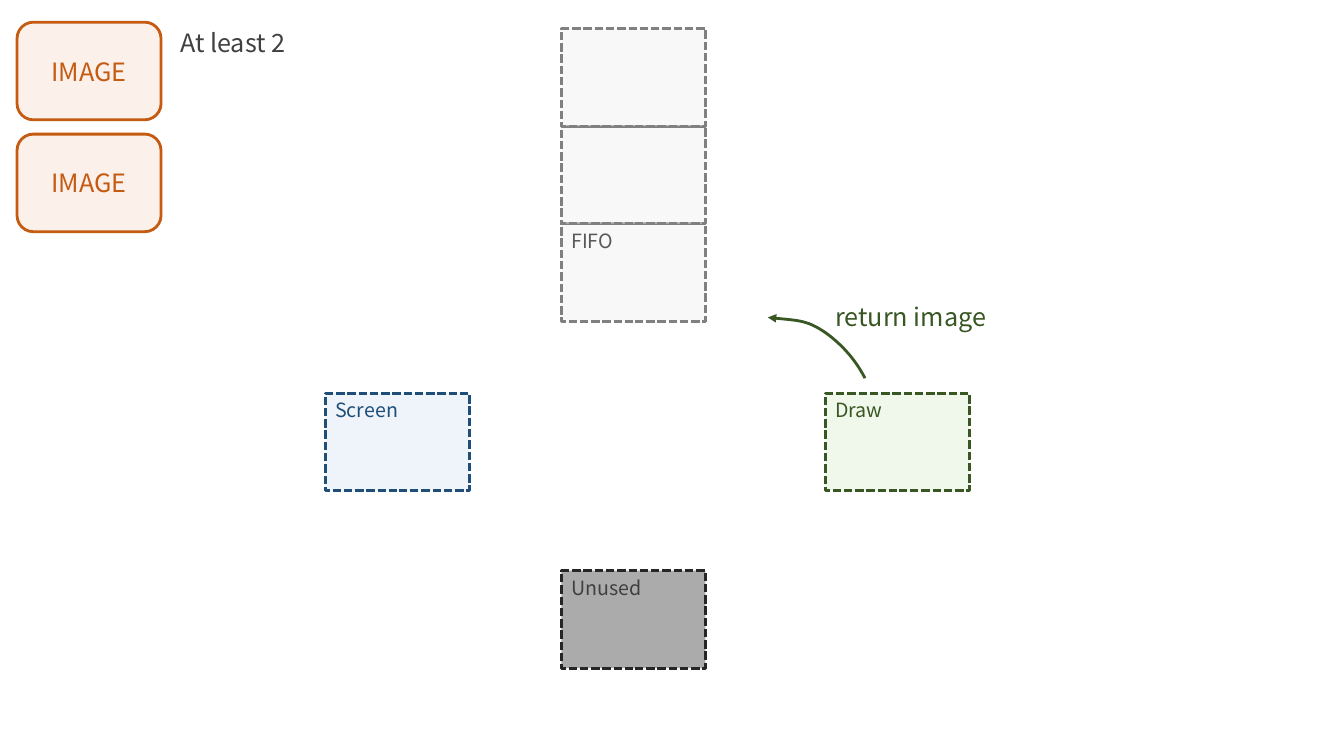
import pptx
import pptx.util
import pptx.dml.color
import pptx.enum.dml
import pptx.enum.shapes
import pptx.enum.text
import pptx.oxml
import pptx.oxml.ns
from dataclasses import dataclass

Cm = pptx.util.Cm
Pt = pptx.util.Pt
KIND = pptx.enum.shapes.MSO_SHAPE
TEXT = pptx.enum.text


@dataclass(frozen=True)
class Theme:
    # Each palette is fill, line, text
    screen: tuple = ("DEEBF7", "1F4E79", "1F4E79")
    fifo: tuple = ("F2F2F2", "808080", "595959")
    draw: tuple = ("E2F0D9", "385723", "385723")
    unused: tuple = ("595959", "262626", "404040")
    image: tuple = ("FBE5D6", "C55A11", "C55A11")
    note: str = "404040"
    font: str = "Noto Sans CJK KR"
    small: int = 14
    large: int = 18
    stroke: int = 2
    alpha: int = 50


THEME = Theme()
WIDE, HIGH = 3.63, 2.46


def rgb(code):
    return pptx.dml.color.RGBColor.from_string(code)


def add_xml(parent, tag, **attrs):
    node = pptx.oxml.ns.qn(tag)
    child = parent.makeelement(node, attrs)
    parent.append(child)
    return child


def write(frame, text, size, color):
    para = frame.paragraphs[0]
    para.text = text
    para.font.name = THEME.font
    para.font.size = Pt(size)
    para.font.color.rgb = rgb(color)
    return para


def set_line(shape, color):
    shape.shadow.inherit = False
    shape.line.color.rgb = rgb(color)
    shape.line.width = Pt(THEME.stroke)


def add_box(shapes, kind, left, top, colors):
    fill, line, _ = colors
    box = shapes.add_shape(kind, Cm(left), Cm(top), Cm(WIDE), Cm(HIGH))
    box.fill.solid()
    box.fill.fore_color.rgb = rgb(fill)
    tint = box.fill._xPr.find(".//" + pptx.oxml.ns.qn("a:srgbClr"))
    add_xml(tint, "a:alpha", val=str(THEME.alpha * 1000))
    set_line(box, line)
    return box


def add_slot(shapes, left, top, colors, text=""):
    box = add_box(shapes, KIND.RECTANGLE, left, top, colors)
    box.line.dash_style = pptx.enum.dml.MSO_LINE.SQUARE_DOT
    box.text_frame.vertical_anchor = TEXT.MSO_ANCHOR.TOP
    if text:
        para = write(box.text_frame, text, THEME.small, colors[2])
        para.alignment = TEXT.PP_ALIGN.LEFT


def add_image(shapes, left, top):
    box = add_box(shapes, KIND.ROUNDED_RECTANGLE, left, top, THEME.image)
    box.text_frame.vertical_anchor = TEXT.MSO_ANCHOR.MIDDLE
    para = write(box.text_frame, "IMAGE", THEME.large, THEME.image[2])
    para.alignment = TEXT.PP_ALIGN.CENTER


def add_label(shapes, left, top, width, text, color):
    box = shapes.add_textbox(Cm(left), Cm(top), Cm(width), Cm(1.02))
    box.text_frame.word_wrap = False
    box.text_frame.auto_size = TEXT.MSO_AUTO_SIZE.SHAPE_TO_FIT_TEXT
    write(box.text_frame, text, THEME.large, color)


def add_curve(shapes, points, color):
    """Draw a curved arrow: a start, then three points per Bezier piece."""
    start, *rest = [(Cm(x), Cm(y)) for x, y in points]
    pen = shapes.build_freeform(*start)
    pen.add_line_segments(rest, close=False)
    curve = pen.convert_to_shape()
    curve.fill.background()
    set_line(curve, color)
    add_xml(curve.line._get_or_add_ln(), "a:tailEnd", type="triangle")

    # Turn each three straight steps into one Bezier piece
    qn = pptx.oxml.ns.qn
    steps = list(curve._element.iter(qn("a:lnTo")))
    track = steps[0].getparent()
    for first in range(0, len(steps), 3):
        piece = add_xml(track, "a:cubicBezTo")
        for step in steps[first:first + 3]:
            piece.append(step[0])
            track.remove(step)


def main():
    deck = pptx.Presentation()
    deck.slide_width, deck.slide_height = Cm(33.87), Cm(19.05)
    shapes = deck.slides.add_slide(deck.slide_layouts[6]).shapes
    mid, row = 14.15, 9.91

    # Screen
    add_slot(shapes, 8.2, row, THEME.screen, "Screen")

    # Queue, stacked upwards from its labelled slot
    queue = shapes.add_group_shape().shapes
    for level, text in enumerate(("FIFO", "", "")):
        add_slot(queue, mid, 5.64 - level * HIGH, THEME.fifo, text)

    # Draw and unused
    add_slot(shapes, 20.8, row, THEME.draw, "Draw")
    add_slot(shapes, mid, 14.38, THEME.unused, "Unused")

    # Returning an image
    bend = [(21.8, 9.53), (21.56, 9.07), (21.23, 8.69), (20.8, 8.38),
            (20.35, 8.08), (20.14, 8.08), (19.35, 8.0)]
    add_curve(shapes, bend, THEME.draw[1])
    add_label(shapes, 20.8, 7.47, 4.42, "return image", THEME.draw[2])

    # Images
    for top in (3.38, 0.56):
        add_image(shapes, 0.43, top)
    add_label(shapes, 4.29, 0.56, 3.28, "At least 2", THEME.note)

    deck.save("out.pptx")


main()
